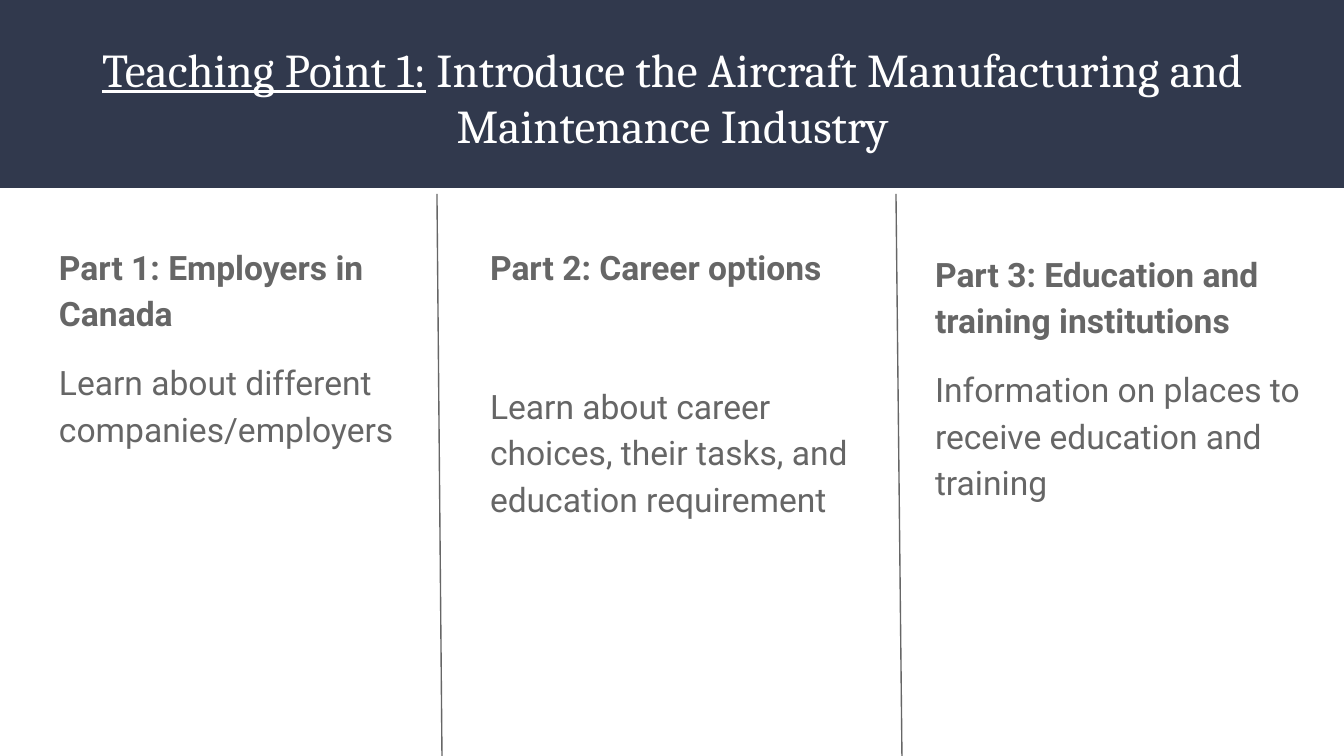
from lxml.etree import SubElement
from pptx import Presentation
from pptx.dml.color import RGBColor
from pptx.enum.shapes import MSO_CONNECTOR, MSO_SHAPE
from pptx.enum.text import MSO_ANCHOR, MSO_AUTO_SIZE, PP_ALIGN
from pptx.oxml.ns import qn
from pptx.util import Emu, Pt

PX_PER_INCH = 134.4
WIDTH, HEIGHT = 1344, 756
NAVY, GREY, WHITE = "31394D", "666666", "FFFFFF"
COLUMNS = [
    (1, (46, 228, 384, 452), "Part 1: Employers in Canada",
     "Learn about different companies/employers", 12),
    (2, (477, 228, 399, 452), "Part 2: Career options",
     "Learn about career choices, their tasks, and education requirement", 49.5),
    (3, (922, 235, 399, 452), "Part 3: Education and training institutions",
     "Information on places to receive education and training", 12),
]
DIVIDERS = [(437, 442), (896, 902)]


def px(length):
    """Turn a pixel length into EMU."""
    return Emu(round(length * 914400 / PX_PER_INCH))


def color(value):
    """Turn a hex string into a colour."""
    return RGBColor.from_string(value)


def place(placeholder, box):
    """Move a placeholder and give its frame even insets and top anchoring."""
    placeholder.left, placeholder.top, placeholder.width, placeholder.height = map(px, box)
    frame = placeholder.text_frame
    frame.margin_left = frame.margin_right = frame.margin_top = frame.margin_bottom = px(13)
    frame.word_wrap = True
    frame.auto_size = MSO_AUTO_SIZE.NONE
    frame.vertical_anchor = MSO_ANCHOR.TOP
    return frame


def add_run(paragraph, text, font_name, size, hex_color, bold=False, underline=False):
    """Append one formatted run."""
    run = paragraph.add_run()
    run.text = text
    font = run.font
    font.name, font.size = font_name, Pt(size)
    font.bold, font.underline = bold, underline
    font.color.rgb = color(hex_color)


def add_band(slide):
    """Draw the header band behind the title."""
    band = slide.shapes.add_shape(MSO_SHAPE.RECTANGLE, 0, 0, px(WIDTH), px(188))
    band.shadow.inherit = False
    band.fill.solid()
    band.fill.fore_color.rgb = color(NAVY)
    band.line.fill.background()
    slide.shapes.title.element.addprevious(band.element)


def fill_title(slide):
    """Write the centred heading."""
    heading = place(slide.shapes.title, (46, 27, 1253, 91)).paragraphs[0]
    heading.alignment = PP_ALIGN.CENTER
    add_run(heading, "Teaching Point 1:", "Cambria", 25.2, WHITE, underline=True)
    add_run(heading, " Introduce the Aircraft Manufacturing and Maintenance Industry",
            "Cambria", 25.2, WHITE)


def format_paragraph(paragraph, before, after):
    """Remove the bullet and set the spacing of a column paragraph."""
    properties = paragraph._p.get_or_add_pPr()
    properties.set("marL", "0")
    properties.set("indent", "0")
    SubElement(properties, qn("a:buNone"))
    paragraph.alignment = PP_ALIGN.LEFT
    paragraph.line_spacing = 1.15
    paragraph.space_before, paragraph.space_after = Pt(before), Pt(after)


def fill_column(placeholder, box, part, detail, gap):
    """Write a bold part heading and its description."""
    frame = place(placeholder, box)
    heading, description = frame.paragraphs[0], frame.add_paragraph()
    format_paragraph(heading, 0, 0)
    add_run(heading, part, "Roboto", 18, GREY, bold=True)
    format_paragraph(description, gap, 12)
    add_run(description, detail, "Roboto", 18, GREY)


def add_divider(slide, top_x, bottom_x):
    """Draw a slightly slanted line between two columns."""
    divider = slide.shapes.add_connector(
        MSO_CONNECTOR.STRAIGHT, px(top_x), px(194), px(bottom_x), px(HEIGHT))
    divider.line.color.rgb = color(GREY)
    divider.line.width = Pt(0.75)
    SubElement(divider.element.spPr, qn("a:effectLst"))


def main():
    """Build and save the slide."""
    presentation = Presentation()
    presentation.slide_width, presentation.slide_height = px(WIDTH), px(HEIGHT)
    slide = presentation.slides.add_slide(presentation.slide_layouts.get_by_name("Comparison"))
    add_band(slide)
    fill_title(slide)
    bodies = {body.placeholder_format.idx: body for body in slide.placeholders}
    for index, *content in COLUMNS:
        fill_column(bodies[index], *content)
    unused = bodies[4].element
    unused.getparent().remove(unused)
    for top_x, bottom_x in DIVIDERS:
        add_divider(slide, top_x, bottom_x)
    presentation.save("out.pptx")


if __name__ == "__main__":
    main()
